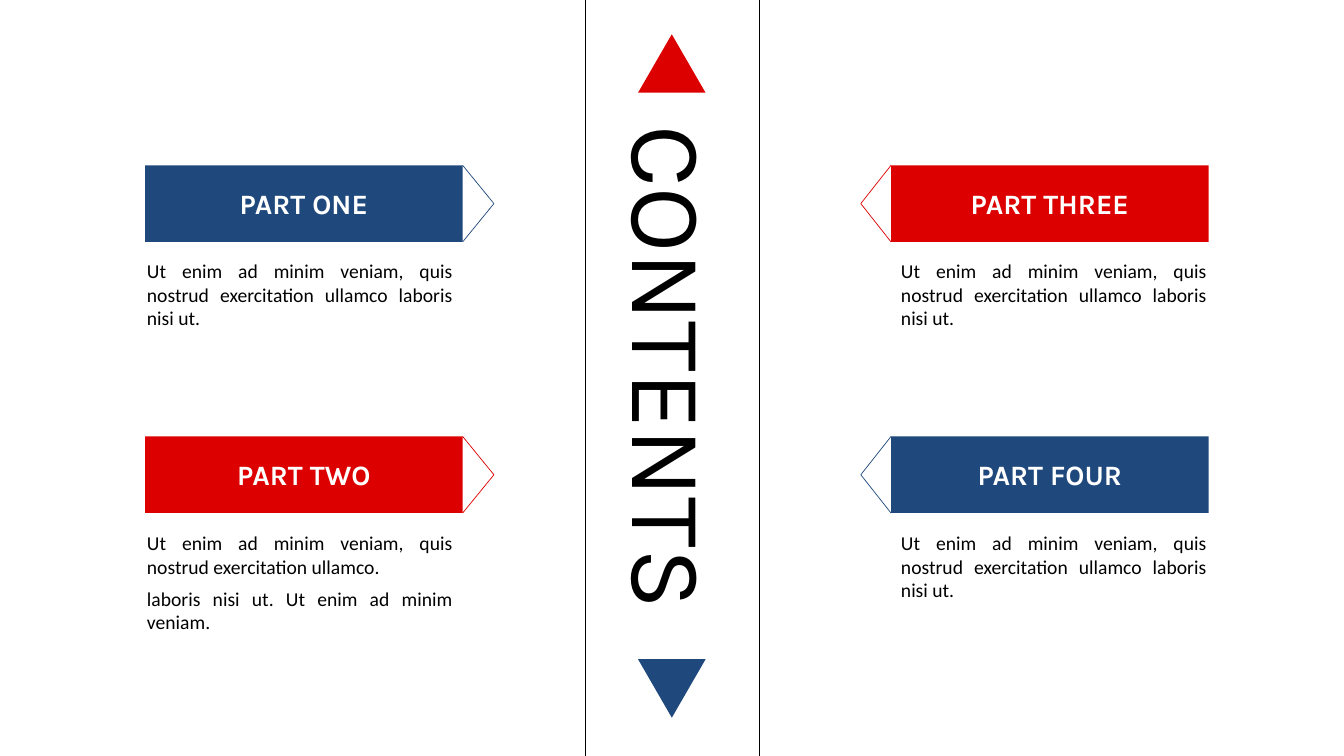
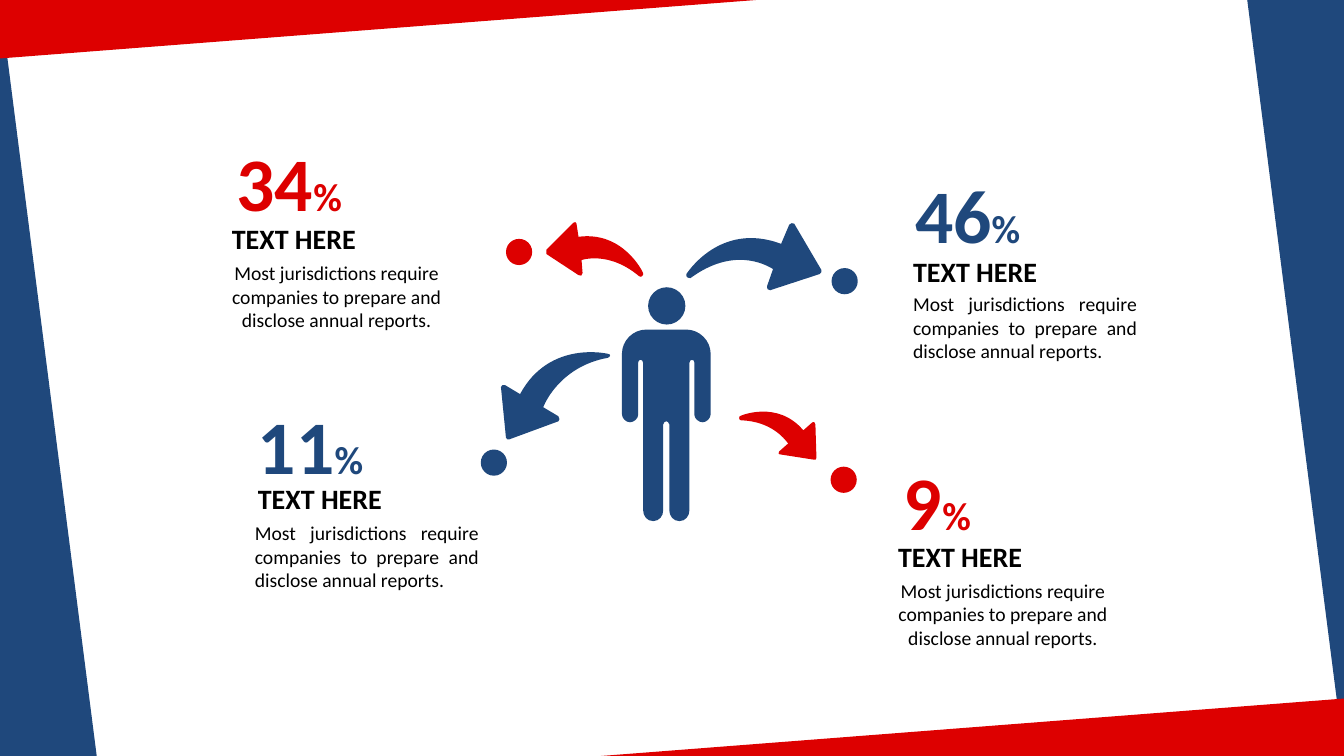
import dataclasses
import typing

import lxml.etree
import pptx
import pptx.dml.color
import pptx.enum.shapes
import pptx.enum.text
import pptx.oxml.ns
import pptx.util

PX = 9144
HEIGHT = 750
WIDTH = HEIGHT * 16 / 9
RED, BLUE, BLACK, WHITE = "DD0000", "1F487C", "000000", "FFFFFF"
BODY_FONT, TITLE_FONT = "Calibri", "Karla"
SHAPES = pptx.enum.shapes.MSO_SHAPE
ALIGN = pptx.enum.text.PP_ALIGN

Point = tuple[float, float]
Segment = tuple[int, ...]


@dataclasses.dataclass(frozen=True)
class Part:
    title: str
    text: str
    column: int
    row: int
    color: str


@dataclasses.dataclass(frozen=True)
class Stat:
    value: str
    color: str
    figure: tuple[int, int]
    heading: tuple[int, int]
    body: tuple[int, int]
    dot: tuple[int, int]
    align: typing.Any


@dataclasses.dataclass(frozen=True)
class Outline:
    color: str
    start: tuple[int, int]
    segments: tuple[Segment, ...]


LOREM = "Ut enim ad minim veniam, quis nostrud exercitation ullamco"
PARTS = (
    Part("PART ONE", f"{LOREM} laboris nisi ut.", 0, 0, BLUE),
    Part("PART TWO", f"{LOREM}.\nlaboris nisi ut. Ut enim ad minim veniam.", 0, 1, RED),
    Part("PART THREE", f"{LOREM} laboris nisi ut.", 1, 0, RED),
    Part("PART FOUR", f"{LOREM} laboris nisi ut.", 1, 1, BLUE),
)
BANNER_WIDTH, BANNER_HEIGHT = 315, 76
BANNER_LEFTS, BANNER_TOPS = (144, 884), (164, 433)
TEXT_LEFTS, TEXT_TOPS = (136, 884), (252, 522)

REPORT_TEXT = "Most jurisdictions require companies to prepare and disclose annual reports."
STATS = (
    Stat("34", RED, (213, 130), (212, 215), (213, 254), (502, 237), ALIGN.CENTER),
    Stat("46", BLUE, (898, 162), (896, 248), (896, 285), (825, 266), ALIGN.JUSTIFY),
    Stat("11", BLUE, (246, 391), (246, 473), (243, 512), (477, 446), ALIGN.JUSTIFY),
    Stat("9", RED, (856, 446), (873, 530), (874, 569), (824, 463), ALIGN.CENTER),
)

ARROWS = (
    Outline(BLUE, (815, 268), (
        (788, 222), (787, 221, 784, 221, 783, 223), (775, 242),
        (714, 219, 681, 272, 681, 272), (680, 273, 681, 276, 685, 276),
        (727, 245, 759, 262, 767, 267), (761, 284), (760, 286, 762, 288, 764, 288),
        (813, 272), (815, 271, 815, 270, 815, 268),
    )),
    Outline(RED, (638, 271), (
        (638, 270, 618, 229, 574, 235), (572, 222), (572, 220, 570, 220, 569, 221),
        (542, 248), (541, 250, 542, 251, 542, 252), (574, 273),
        (576, 275, 578, 273, 578, 271), (577, 258),
        (584, 256, 608, 252, 634, 274), (636, 276, 639, 273, 638, 271),
    )),
    Outline(BLUE, (603, 351), (
        (603, 351, 545, 337, 516, 391), (501, 382), (499, 381, 497, 383, 497, 384),
        (502, 434), (502, 436, 504, 436, 505, 436), (554, 418),
        (555, 417, 556, 415, 554, 413), (539, 404),
        (542, 396, 559, 363, 603, 355), (606, 354, 606, 351, 603, 351),
    )),
    Outline(RED, (734, 413), (
        (735, 412, 772, 397, 797, 427), (806, 419), (807, 418, 809, 419, 809, 421),
        (810, 454), (810, 456, 809, 457, 807, 456), (775, 451),
        (772, 451, 772, 449, 773, 448), (782, 440),
        (778, 435, 765, 418, 735, 417), (733, 417, 733, 413, 734, 413),
    )),
)

PERSON_START = (661, 327)
HALF_PERSON: tuple[Segment, ...] = (
    (641, 327), (628, 327, 617, 338, 617, 351), (617, 411),
    (617, 415, 621, 419, 625, 419), (629, 419, 633, 415, 633, 412), (633, 360),
    (633, 356, 638, 356, 638, 360), (638, 506),
    (638, 512, 642, 517, 648, 517), (654, 517, 658, 512, 658, 506),
    (658, 421), (658, 419, 660, 418, 661, 418),
)


def emu(pixels: float) -> pptx.util.Emu:
    return pptx.util.Emu(round(pixels * PX))


def rgb(color: str) -> pptx.dml.color.RGBColor:
    return pptx.dml.color.RGBColor.from_string(color)


def paint(shape: typing.Any, color: str) -> None:
    shape.shadow.inherit = False
    shape.fill.solid()
    shape.fill.fore_color.rgb = rgb(color)
    shape.line.fill.background()


def add_block(
    page: typing.Any, kind: typing.Any, left: float, top: float,
    width: float, height: float, color: str, rotation: int = 0,
) -> typing.Any:
    shape = page.shapes.add_shape(kind, emu(left), emu(top), emu(width), emu(height))
    shape.rotation = rotation
    paint(shape, color)
    return shape


def add_rule(page: typing.Any, start: Point, end: Point, color: str) -> None:
    line = page.shapes.add_connector(
        pptx.enum.shapes.MSO_CONNECTOR.STRAIGHT, *map(emu, start + end)
    )
    line.line.color.rgb = rgb(color)
    line.line.width = pptx.util.Pt(0.5)
    lxml.etree.SubElement(line._element.spPr, pptx.oxml.ns.qn("a:effectLst"))


def write(
    box: typing.Any, text: str, *, size: int, color: str = BLACK, font: str = BODY_FONT,
    bold: bool = False, align: typing.Any = ALIGN.LEFT, after: int = 0,
    suffix: str = "", suffix_size: int = 0,
) -> None:
    frame = box.text_frame
    for index, words in enumerate(text.split("\n")):
        para = frame.add_paragraph() if index else frame.paragraphs[0]
        para.alignment = align
        para.space_after = pptx.util.Pt(after)
        for content, points in ((words, size), (suffix, suffix_size)):
            if content:
                span = para.add_run()
                span.text = content
                span.font.size = pptx.util.Pt(points)
                span.font.name = font
                span.font.bold = bold
                span.font.color.rgb = rgb(color)


def add_text_box(
    page: typing.Any, left: int, top: int, width: int, height: int, wrap: bool = True,
) -> typing.Any:
    box = page.shapes.add_textbox(emu(left), emu(top), emu(width), emu(height))
    box.text_frame.word_wrap = wrap
    box.text_frame.auto_size = pptx.enum.text.MSO_AUTO_SIZE.SHAPE_TO_FIT_TEXT
    return box


def pairs(segment: Segment) -> list[tuple[int, int]]:
    return list(zip(segment[::2], segment[1::2]))


def mirror(start: tuple[int, int], segments: tuple[Segment, ...]) -> tuple[Segment, ...]:
    axis = start[0]
    ends = [start] + [pairs(segment)[-1] for segment in segments]
    mirrored = []
    for segment, end in zip(reversed(segments), reversed(ends[:-1])):
        points = pairs(segment)[-2::-1] + [end]
        mirrored.append(tuple(value for x, y in points for value in (2 * axis - x, y)))
    return tuple(mirrored)


def add_outline(page: typing.Any, outline: Outline) -> None:
    ends = [pairs(segment)[-1] for segment in outline.segments]
    builder = page.shapes.build_freeform(*map(emu, outline.start))
    builder.add_line_segments([(emu(x), emu(y)) for x, y in ends], close=True)
    shape = builder.convert_to_shape()
    paint(shape, outline.color)
    lines = list(shape._element.iter(pptx.oxml.ns.qn("a:lnTo")))
    for line, segment in zip(lines, outline.segments):
        if len(segment) == 6:
            line.tag = pptx.oxml.ns.qn("a:cubicBezTo")
            controls = pairs(segment)[:-1]
            for index, (x, y) in enumerate(controls):
                point = lxml.etree.Element(pptx.oxml.ns.qn("a:pt"))
                point.set("x", str(emu(x) - shape.left))
                point.set("y", str(emu(y) - shape.top))
                line.insert(index, point)


def add_part(page: typing.Any, part: Part) -> None:
    left, top = BANNER_LEFTS[part.column], BANNER_TOPS[part.row]
    banner = add_block(page, SHAPES.RECTANGLE, left, top, BANNER_WIDTH, BANNER_HEIGHT, part.color)
    banner.text_frame.vertical_anchor = pptx.enum.text.MSO_ANCHOR.MIDDLE
    write(banner, part.title, size=20, color=WHITE, font=TITLE_FONT, bold=True, align=ALIGN.CENTER)
    edge, tip = (left, left - 30) if part.column else (left + BANNER_WIDTH, left + BANNER_WIDTH + 31)
    for corner in (top, top + BANNER_HEIGHT):
        add_rule(page, (edge, corner), (tip, top + BANNER_HEIGHT / 2), part.color)
    box = add_text_box(page, TEXT_LEFTS[part.column], TEXT_TOPS[part.row], 323, 81)
    write(box, part.text, size=14, align=ALIGN.JUSTIFY, after=6)


def add_stat(page: typing.Any, stat: Stat) -> None:
    write(
        add_text_box(page, *stat.figure, 148, 101), stat.value, size=54, color=stat.color,
        bold=True, align=stat.align, suffix="%", suffix_size=28,
    )
    heading = add_text_box(page, *stat.heading, 159, 44)
    write(heading, "TEXT HERE", size=20, bold=True, align=stat.align)
    write(add_text_box(page, *stat.body, 242, 81), REPORT_TEXT, size=14, align=stat.align)
    add_block(page, SHAPES.OVAL, *stat.dot, 26, 26, stat.color)


def add_corners(page: typing.Any) -> None:
    wide, thin = 96, 58
    middle = (HEIGHT - thin) / 2
    for left, top, width, color, rotation in (
        (0, 0, wide, BLUE, 0),
        (middle, -middle, thin, RED, 90),
        (WIDTH - wide, 0, wide, BLUE, 180),
        (WIDTH - thin - middle, middle + 1, thin, RED, 270),
    ):
        corner = add_block(
            page, SHAPES.ISOSCELES_TRIANGLE, left, top, width, HEIGHT, color, rotation
        )
        corner.adjustments[0] = 0


def build_contents(page: typing.Any) -> None:
    for part in PARTS:
        add_part(page, part)
    title = add_text_box(page, 407, 309, 519, 131, wrap=False)
    title.rotation = 90
    write(title, "CONTENTS", size=72, font=TITLE_FONT)
    for x in (581, 753):
        add_rule(page, (x, 0), (x, HEIGHT), BLACK)
    for top, color, rotation in ((34, RED, 0), (654, BLUE, 180)):
        add_block(page, SHAPES.ISOSCELES_TRIANGLE, 633, top, 67, 58, color, rotation)


def build_statistics(page: typing.Any) -> None:
    add_corners(page)
    for arrow in ARROWS:
        add_outline(page, arrow)
    add_block(page, SHAPES.OVAL, 643, 285, 37, 37, BLUE)
    person = HALF_PERSON + mirror(PERSON_START, HALF_PERSON)
    add_outline(page, Outline(BLUE, PERSON_START, person))
    for stat in STATS:
        add_stat(page, stat)


def main() -> None:
    deck = pptx.Presentation()
    deck.slide_width, deck.slide_height = emu(WIDTH), emu(HEIGHT)
    for build in (build_contents, build_statistics):
        build(deck.slides.add_slide(deck.slide_layouts[6]))
    deck.save("out.pptx")


if __name__ == "__main__":
    main()
